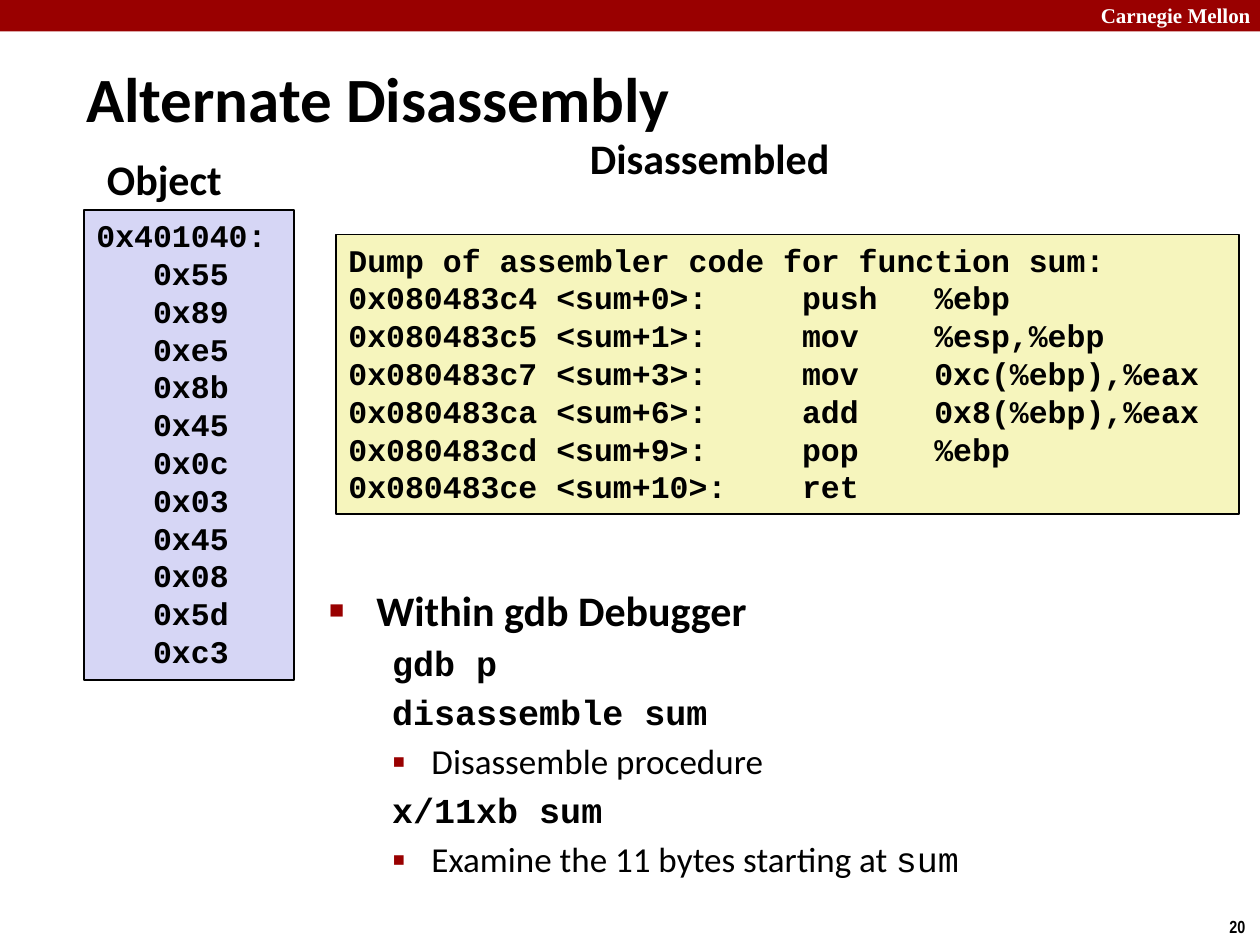
from lxml import etree
from pptx import Presentation
from pptx.dml.color import RGBColor
from pptx.enum import shapes, text
from pptx.oxml.ns import qn
from pptx.util import Pt

COLORS = {
    "black": "000000",
    "white": "FFFFFF",
    "red": "990000",
    "yellow": "F6F5BD",
    "lavender": "D6D6F5",
}
SANS, MONO, SERIF, NARROW = "Calibri", "Courier New", "Times New Roman", "Arial Narrow"

OBJECT_BYTES = ["0x55", "0x89", "0xe5", "0x8b", "0x45", "0x0c",
                "0x03", "0x45", "0x08", "0x5d", "0xc3"]
DISASSEMBLY = [
    "Dump of assembler code for function sum:",
    "0x080483c4 <sum+0>:     push   %ebp",
    "0x080483c5 <sum+1>:     mov    %esp,%ebp",
    "0x080483c7 <sum+3>:     mov    0xc(%ebp),%eax",
    "0x080483ca <sum+6>:     add    0x8(%ebp),%eax",
    "0x080483cd <sum+9>:     pop    %ebp",
    "0x080483ce <sum+10>:    ret",
]


def rgb(name):
    return RGBColor.from_string(COLORS[name])


class LectureSlide:
    def __init__(self, deck):
        self.page = deck.slides.add_slide(deck.slide_layouts[5])

    def span(self, para, words, size, font=SANS, bold=True, color="black"):
        run = para.add_run()
        run.text = words
        run.font.size = Pt(size)
        run.font.name = font
        run.font.bold = bold
        run.font.color.rgb = rgb(color)

    def title(self, words, left, top, width, height):
        box = self.page.shapes.title
        box.left, box.top, box.width, box.height = map(Pt, (left, top, width, height))
        frame = box.text_frame
        frame.vertical_anchor = text.MSO_ANCHOR.MIDDLE
        para = frame.paragraphs[0]
        para.alignment = text.PP_ALIGN.LEFT
        self.span(para, words, 36)

    def text_box(self, left, top, width, height, wrap=True):
        box = self.page.shapes.add_textbox(*map(Pt, (left, top, width, height)))
        box.text_frame.word_wrap = wrap
        return box.text_frame

    def label(self, words, place, size, wrap=True, **style):
        frame = self.text_box(*place, wrap=wrap)
        self.span(frame.paragraphs[0], words, size, **style)

    def panel(self, left, top, width, height, fill, outlined=True):
        box = self.page.shapes.add_shape(
            shapes.MSO_SHAPE.RECTANGLE, *map(Pt, (left, top, width, height)))
        box.shadow.inherit = False
        box.fill.solid()
        box.fill.fore_color.rgb = rgb(fill)
        if outlined:
            box.line.color.rgb = rgb("black")
            box.line.width = Pt(1)
        else:
            box.line.fill.background()
        return box

    def code(self, lines, place, fill):
        frame = self.panel(*place, fill).text_frame
        frame.word_wrap = True
        frame.vertical_anchor = text.MSO_ANCHOR.TOP
        for index, line in enumerate(lines):
            para = frame.add_paragraph() if index else frame.paragraphs[0]
            para.alignment = text.PP_ALIGN.LEFT
            self.span(para, line, 18, MONO)

    def bullet(self, para, mark, percent):
        properties = para._p.get_or_add_pPr()
        color = etree.SubElement(properties, qn("a:buClr"))
        etree.SubElement(color, qn("a:srgbClr"), val=COLORS["red"])
        etree.SubElement(properties, qn("a:buSzPct"), val=str(percent * 1000))
        etree.SubElement(properties, qn("a:buFont"), typeface="Arial")
        etree.SubElement(properties, qn("a:buChar"), char=mark)

    def outline(self, items, place):
        """Each item is (margin, hang, bullet or None, spans)."""
        frame = self.text_box(*place)
        for index, (margin, hang, mark, spans) in enumerate(items):
            para = frame.add_paragraph() if index else frame.paragraphs[0]
            if index:
                para.space_before = Pt(4)
            properties = para._p.get_or_add_pPr()
            properties.set("marL", str(int(Pt(margin))))
            properties.set("indent", str(-int(Pt(hang))))
            if mark:
                self.bullet(para, *mark)
            for words, style in spans:
                self.span(para, words, **style)


def main():
    deck = Presentation()
    deck.slide_width, deck.slide_height = Pt(720), Pt(540)
    slide = LectureSlide(deck)

    slide.panel(0, 0, 720, 18, "red", outlined=False)
    slide.label("Carnegie Mellon", (622, -2, 103, 21.6), 12, font=SERIF, color="white")
    slide.label("20", (695.5, 520, 24.5, 19.4), 10, wrap=False, font=NARROW)

    slide.title("Alternate Disassembly", 42, 33, 492, 45.5)
    slide.label("Disassembled", (330, 72, 205, 32.5), 24)
    slide.code(DISASSEMBLY, (192, 134, 516, 160), "yellow")

    command = dict(size=20, font=MONO)
    detail = dict(size=20, bold=False)
    square = ("▪", 110)
    level = (58.5, 22.5)
    slide.outline([
        (27, 27, ("■", 60), [("Within gdb Debugger", dict(size=24))]),
        (*level, None, [("gdb p", command)]),
        (*level, None, [("disassemble sum", command)]),
        (*level, square, [("Disassemble procedure", detail)]),
        (*level, None, [("x/11xb sum", command)]),
        (*level, square, [("Examine the 11 bytes starting at ", detail),
                          ("sum", dict(detail, font=MONO))]),
    ], (181, 330.5, 496, 177))

    slide.label("Object", (54, 84, 103, 32.5), 24)
    slide.code(["0x401040:"] + ["   " + byte for byte in OBJECT_BYTES],
               (48, 120, 120, 268.5), "lavender")
    deck.save("out.pptx")


if __name__ == "__main__":
    main()
